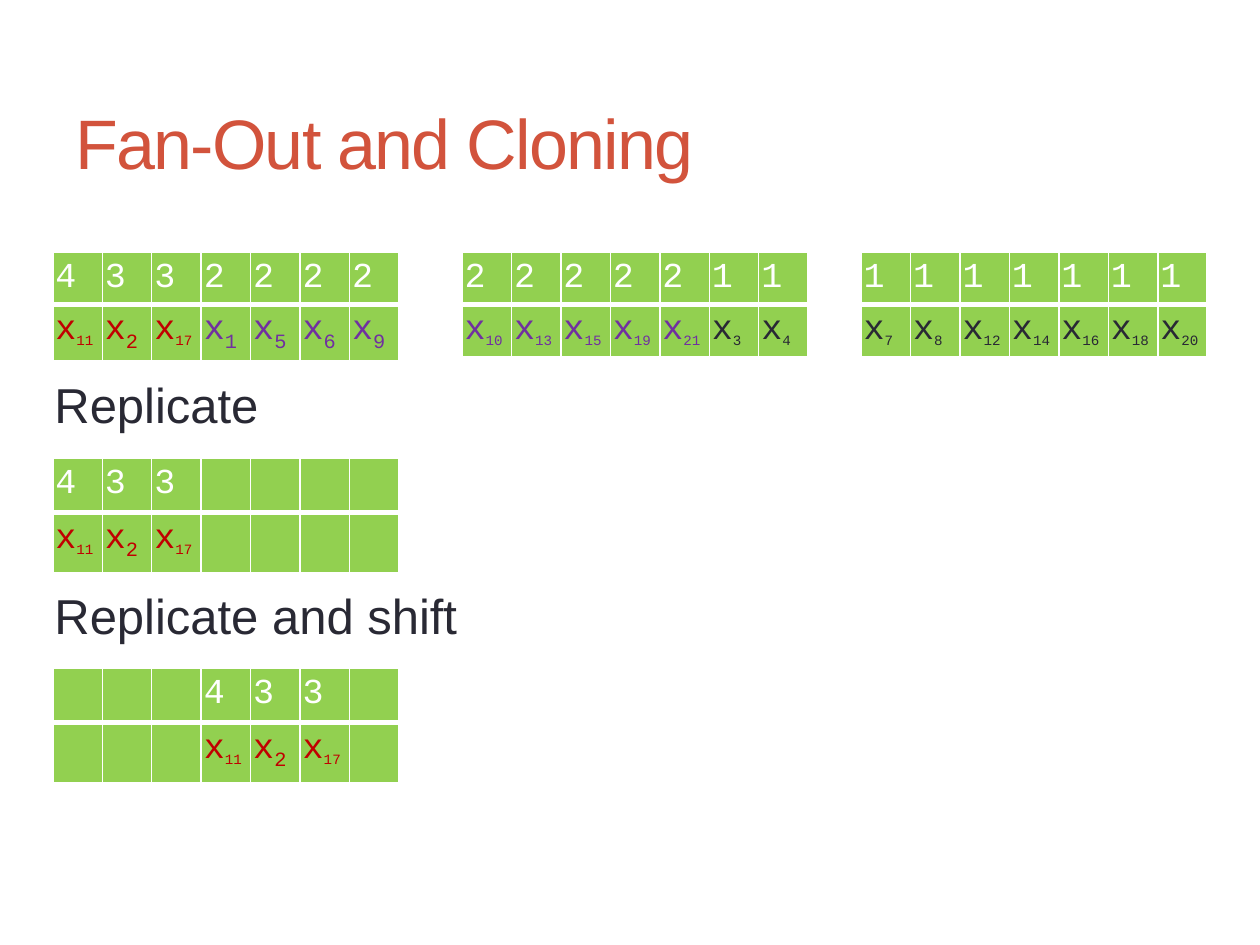
"""Build the Fan-Out and Cloning slide with its tables of fan-out counts and variables."""
from lxml.etree import SubElement
from pptx import Presentation
from pptx.dml.color import RGBColor
from pptx.enum.text import MSO_ANCHOR, MSO_AUTO_SIZE
from pptx.oxml.ns import qn
from pptx.util import Pt

COLORS = {"title": "D2533C", "text": "292934", "cell": "92D050", "white": "FFFFFF",
          "high": "C00000", "double": "7030A0", "single": "292934"}
LEVELS = {4: "high", 3: "high", 2: "double", 1: "single"}
COLS = 7
TABLE_W, ROW_H = 198, 29.5
LEFT, TOP = 30.2, 144
HEAVY = [(4, 11), (3, 2), (3, 17)]


def rgb(name):
    return RGBColor.from_string(COLORS[name])


def set_font(p, name, size, color):
    p.font.name, p.font.size = name, Pt(size)
    p.font.color.rgb = rgb(color)


def add_label(slide, text, x, y, w, h, size, color, spacing=0, wrap=False):
    tf = slide.shapes.add_textbox(Pt(x), Pt(y), Pt(w), Pt(h)).text_frame
    tf.word_wrap = wrap
    tf.auto_size = MSO_AUTO_SIZE.NONE if wrap else MSO_AUTO_SIZE.SHAPE_TO_FIT_TEXT
    tf.vertical_anchor = MSO_ANCHOR.MIDDLE if wrap else MSO_ANCHOR.TOP
    p = tf.paragraphs[0]
    r = p.add_run()
    r.text = text
    set_font(p, "Arial", size, color)
    if spacing:
        r._r.get_or_add_rPr().set("spc", str(spacing * 100))


def style_cell(cell, top, bottom):
    cell.margin_left = cell.margin_right = Pt(1.5)
    cell.margin_top = cell.margin_bottom = Pt(3.6)
    tcPr = cell._tc.get_or_add_tcPr()
    for side, width in (("L", 1), ("R", 1), ("T", top), ("B", bottom)):
        ln = SubElement(tcPr, qn(f"a:ln{side}"), w=str(Pt(width)))
        SubElement(SubElement(ln, qn("a:solidFill")), qn("a:srgbClr"), val=COLORS["white"])
    cell.fill.solid()
    cell.fill.fore_color.rgb = rgb("cell")


def add_variable(p, index, digit_size):
    p.add_run().text = "x"
    r = p.add_run()
    r.text = str(index)
    r.font.size = Pt(digit_size if index < 10 else 14)
    r._r.get_or_add_rPr().set("baseline", "-25000")


def add_fan_table(slide, x, y, entries, start=0, digit_size=20):
    frame = slide.shapes.add_table(2, COLS, Pt(x), Pt(y), Pt(TABLE_W), Pt(2 * ROW_H))
    table = frame.table
    table.first_row = table.horz_banding = False
    for column in table.columns:
        column.width = Pt(TABLE_W / COLS)
    for row in range(2):
        for col in range(COLS):
            cell = table.cell(row, col)
            style_cell(cell, *((1, 3), (3, 1))[row])
            set_font(cell.text_frame.paragraphs[0], "Courier New", 20, "white")
    for col, (count, index) in enumerate(entries, start):
        table.cell(0, col).text_frame.paragraphs[0].add_run().text = str(count)
        p = table.cell(1, col).text_frame.paragraphs[0]
        p.font.color.rgb = rgb(LEVELS[count])
        add_variable(p, index, digit_size)


def main():
    prs = Presentation()
    prs.slide_width, prs.slide_height = Pt(720), Pt(540)
    slide = prs.slides.add_slide(prs.slide_layouts[6])
    add_label(slide, "Fan-Out and Cloning", 36, 42, 648, 78, 40, "title", -1, True)

    doubles = [(2, i) for i in (10, 13, 15, 19, 21)]
    singles = [(1, i) for i in (7, 8, 12, 14, 16, 18, 20)]
    add_fan_table(slide, LEFT, TOP, HEAVY + [(2, i) for i in (1, 5, 6, 9)])
    add_fan_table(slide, 264, TOP, doubles + [(1, 3), (1, 4)], digit_size=14)
    add_fan_table(slide, 492, TOP, singles, digit_size=14)

    add_label(slide, "Replicate", 24, 210.5, 132, 41, 28, "text")
    add_fan_table(slide, LEFT, 261.7, HEAVY)
    add_label(slide, "Replicate and shift", 24, 331, 248, 41, 28, "text")
    add_fan_table(slide, LEFT, 381.7, HEAVY, start=3)
    prs.save("out.pptx")


if __name__ == "__main__":
    main()
